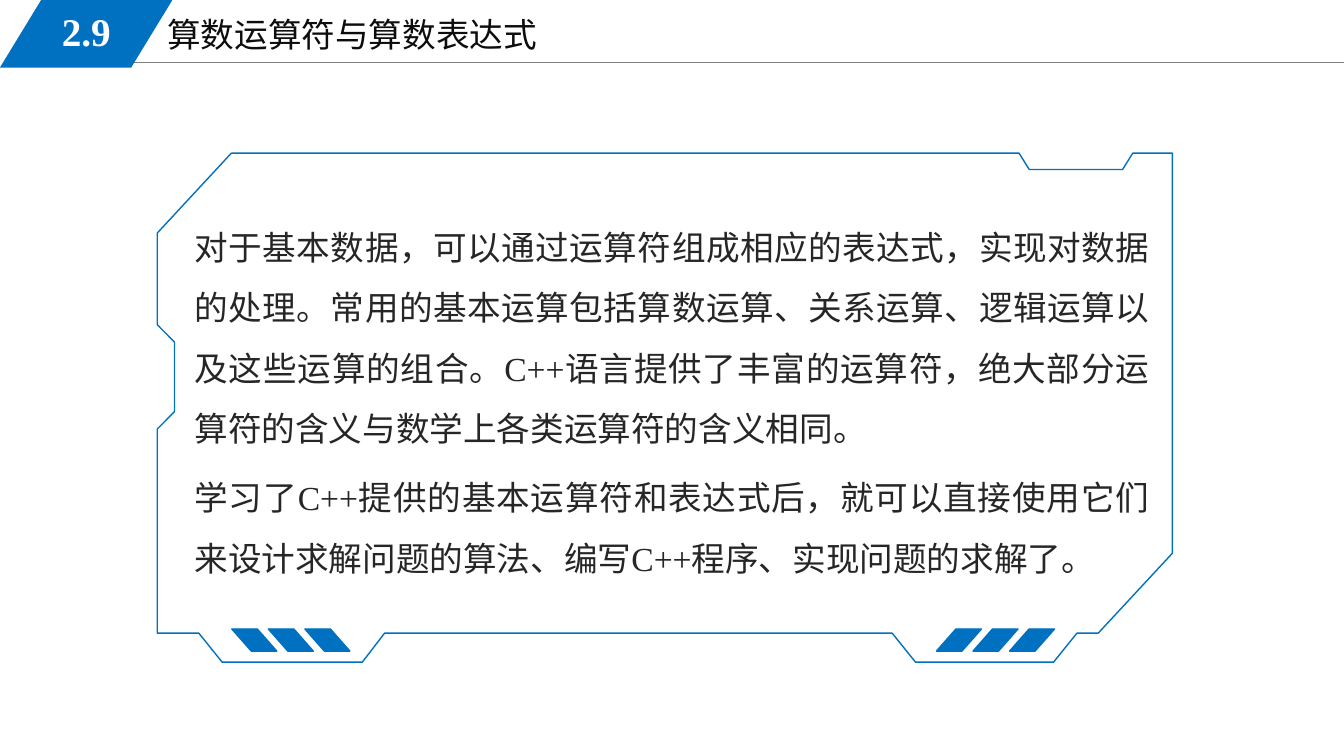
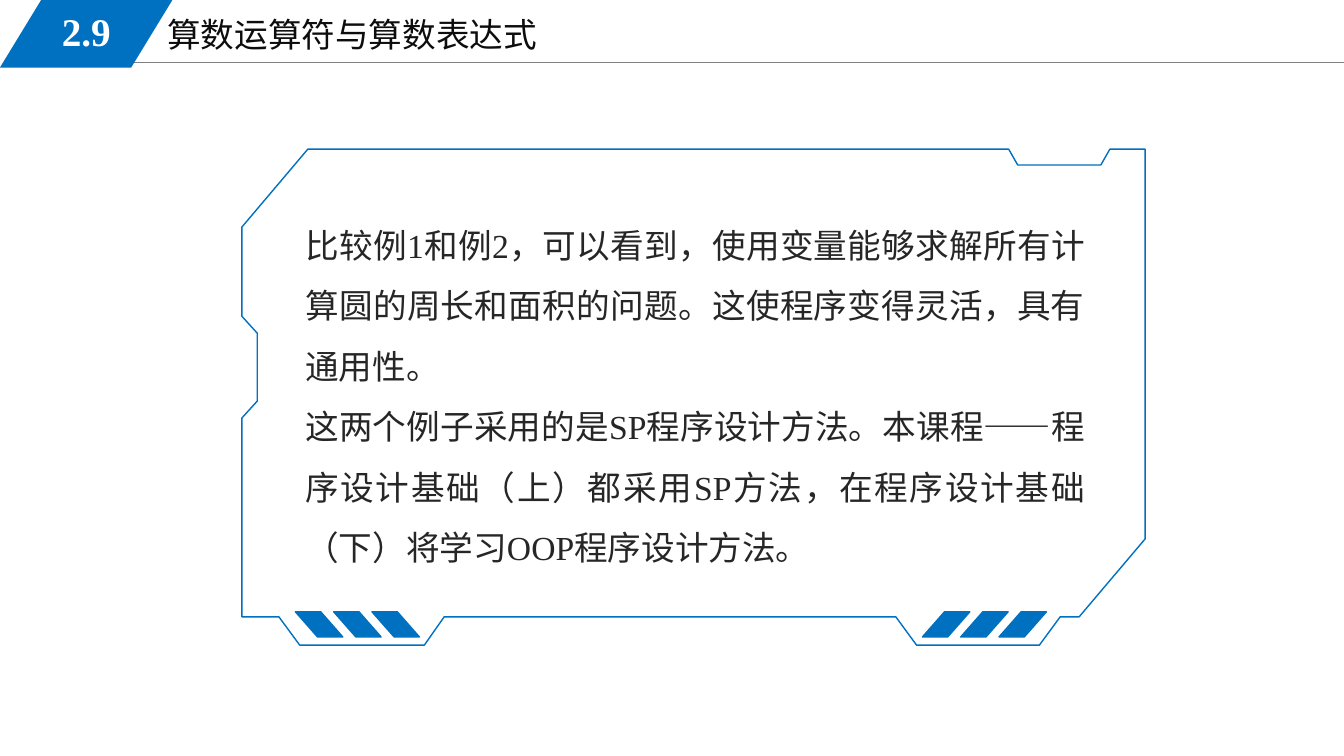
from lxml import etree
from pptx import Presentation
from pptx.dml.color import RGBColor
from pptx.enum.shapes import MSO_CONNECTOR, MSO_SHAPE
from pptx.enum.text import MSO_ANCHOR, MSO_AUTO_SIZE, PP_ALIGN
from pptx.oxml.ns import qn
from pptx.util import Inches, Pt

PARALLELOGRAM = MSO_SHAPE.PARALLELOGRAM
STRAIGHT = MSO_CONNECTOR.STRAIGHT
TOP, MIDDLE = MSO_ANCHOR.TOP, MSO_ANCHOR.MIDDLE
LEFT, CENTER, JUSTIFY = PP_ALIGN.LEFT, PP_ALIGN.CENTER, PP_ALIGN.JUSTIFY
FIT_SHAPE = MSO_AUTO_SIZE.SHAPE_TO_FIT_TEXT

WIDTH, HEIGHT = Inches(13.33), Inches(7.5)
TITLE_ONLY = 5
BLUE, GRAY, WHITE = "0070C0", "808080", "FFFFFF"
LATIN_FONT, CHINESE_FONT = "Times New Roman", "Noto Sans CJK SC"

TITLE_FORMAT = {
    "color": "0D0D0D",
    "anchor": TOP,
    "font": {"size": Pt(24), "bold": False},
    "paragraph": {"alignment": LEFT},
}
NUMBER_FORMAT = {
    "color": WHITE,
    "anchor": MIDDLE,
    "font": {"size": Pt(28), "bold": True},
    "paragraph": {"alignment": CENTER},
}
BODY_FORMAT = {
    "color": "262626",
    "anchor": TOP,
    "font": {"size": Pt(24), "bold": False},
    "paragraph": {"alignment": JUSTIFY, "line_spacing": 1.5},
}

SECTION_NUMBER, SECTION_TITLE = "2.9", "算数运算符与算数表达式"
FRAME_OUTLINE = [
    (7.3, 0), (84.9, 0), (85.9, 3.2), (95.1, 3.2), (96.1, 0), (100, 0),
    (100, 78.6), (92.7, 94.3), (90.6, 94.3), (88.3, 100), (74.7, 100),
    (72.4, 94.3), (22.4, 94.3), (20.2, 100), (6.4, 100), (4.1, 94.3),
    (0, 94.3), (0, 54.2), (1.7, 50.8), (1.7, 37.1), (0, 33.7), (0, 15.7),
]
PANELS = [
    {
        "frame": (11.7, 20.27, 75.53, 67.33),
        "body": (13.73, 26.67, 72.53, 50),
        "stripe_lefts": (17.25, 69.68),
        "stripe_top": 83.2,
        "stripe_size": (3.35, 2.93),
        "stripe_step": 2.72,
        "gap": Pt(6),
        "paragraphs": [
            "对于基本数据，可以通过运算符组成相应的表达式，实现对数据的处理。"
            "常用的基本运算包括算数运算、关系运算、逻辑运算以及这些运算的组合。"
            "C++语言提供了丰富的运算符，绝大部分运算符的含义与数学上各类运算符的含义相同。",
            "学习了C++提供的基本运算符和表达式后，就可以直接使用它们来设计求解问题的算法、"
            "编写C++程序、实现问题的求解了。",
        ],
    },
    {
        "frame": (18, 19.73, 67.2, 65.6),
        "body": (21.98, 26.4, 59.48, 57.87),
        "stripe_lefts": (21.98, 68.63),
        "stripe_top": 80.93,
        "stripe_size": (3.53, 3.33),
        "stripe_step": 2.85,
        "gap": Pt(0),
        "paragraphs": [
            "比较例1和例2，可以看到，使用变量能够求解所有计算圆的周长和面积的问题。"
            "这使程序变得灵活，具有通用性。",
            "这两个例子采用的是SP程序设计方法。本课程——程序设计基础（上）都采用SP方法，"
            "在程序设计基础（下）将学习OOP程序设计方法。",
        ],
    },
]


def rgb(code):
    """Turn a hex string into a colour."""
    return RGBColor.from_string(code)


def box(left, top, width, height):
    """Turn percentages of the slide into left, top, width and height."""
    return [round(share * side / 100) for share, side in
            zip((left, top, width, height), (WIDTH, HEIGHT, WIDTH, HEIGHT))]


def set_attributes(target, values):
    """Set each named attribute of the target."""
    for name, value in values.items():
        setattr(target, name, value)


def write(shape, paragraphs, text_format, gap=Pt(0)):
    """Write formatted paragraphs into a shape."""
    frame = shape.text_frame
    set_attributes(frame, {"word_wrap": True, "auto_size": FIT_SHAPE,
                           "vertical_anchor": text_format["anchor"]})
    for index, text in enumerate(paragraphs):
        paragraph = frame.add_paragraph() if index else frame.paragraphs[0]
        set_attributes(paragraph, text_format["paragraph"])
        paragraph.space_before = gap if index else Pt(0)
        run = paragraph.add_run()
        run.text = text
        set_attributes(run.font, {"name": LATIN_FONT, **text_format["font"]})
        run.font.color.rgb = rgb(text_format["color"])
        properties = run.font._element
        etree.SubElement(properties, qn("a:ea"), typeface=CHINESE_FONT)


def add_text(slide, area, paragraphs, text_format, gap=Pt(0)):
    """Add a text box."""
    shape = slide.shapes.add_textbox(*box(*area))
    write(shape, paragraphs, text_format, gap)
    return shape


def add_parallelogram(slide, area, slant, mirrored=False):
    """Add a blue parallelogram."""
    shape = slide.shapes.add_shape(PARALLELOGRAM, *box(*area))
    shape.adjustments[0] = slant
    shape.shadow.inherit = False
    shape.fill.solid()
    shape.fill.fore_color.rgb = rgb(BLUE)
    shape.line.color.rgb = rgb(BLUE)
    shape.line.width = Pt(1)
    if mirrored:
        shape.element.spPr.xfrm.set("flipH", "1")
    return shape


def add_rule(slide):
    """Add the gray line under the title."""
    left, top, width, _ = box(8.5, 8.27, 91.5, 0)
    rule = slide.shapes.add_connector(STRAIGHT, left, top, left + width, top)
    rule.line.color.rgb = rgb(GRAY)
    rule.line.width = Pt(0.75)
    etree.SubElement(rule.element.spPr, qn("a:effectLst"))
    return rule


def move_header_to_layout(slide):
    """Draw the section header and hand it to the slide's layout."""
    layout = slide.slide_layout
    for placeholder in list(layout.placeholders):
        if placeholder.placeholder_format.idx:
            layout.shapes.element.remove(placeholder.element)
    rule = add_rule(slide)
    badge = add_parallelogram(slide, (0, 0, 12.83, 8.93), 0.61)
    badge.line.fill.background()
    number = add_text(slide, (1.88, 0.27, 9.08, 7.73), [SECTION_NUMBER], NUMBER_FORMAT)
    for shape in (rule, badge, number):
        layout.shapes.element.append(shape.element)


def add_title(slide):
    """Place and fill the title placeholder."""
    title = slide.shapes.title
    title.left, title.top, title.width, title.height = box(11.7, 1.2, 42.5, 6.8)
    write(title, [SECTION_TITLE], TITLE_FORMAT)


def add_frame(slide, area):
    """Add the notched outline."""
    left, top, width, height = box(*area)
    points = [(round(left + width * across / 100), round(top + height * down / 100))
              for across, down in FRAME_OUTLINE]
    builder = slide.shapes.build_freeform(*points[0])
    builder.add_line_segments(points[1:], close=True)
    frame = builder.convert_to_shape()
    frame.shadow.inherit = False
    frame.fill.background()
    frame.line.color.rgb = rgb(BLUE)
    frame.line.width = Pt(1)


def add_panel(slide, panel):
    """Add the body text, its frame and the two groups of stripes."""
    add_text(slide, panel["body"], panel["paragraphs"], BODY_FORMAT, panel["gap"])
    add_frame(slide, panel["frame"])
    for left, mirrored in zip(panel["stripe_lefts"], (True, False)):
        for index in range(3):
            area = (left + index * panel["stripe_step"], panel["stripe_top"],
                    *panel["stripe_size"])
            add_parallelogram(slide, area, 0.88, mirrored)


def main():
    """Build and save the presentation."""
    presentation = Presentation()
    presentation.slide_width, presentation.slide_height = WIDTH, HEIGHT
    layout = presentation.slide_layouts[TITLE_ONLY]
    for index, panel in enumerate(PANELS):
        slide = presentation.slides.add_slide(layout)
        if index == 0:
            move_header_to_layout(slide)
        add_title(slide)
        add_panel(slide, panel)
    presentation.save("out.pptx")


if __name__ == "__main__":
    main()
